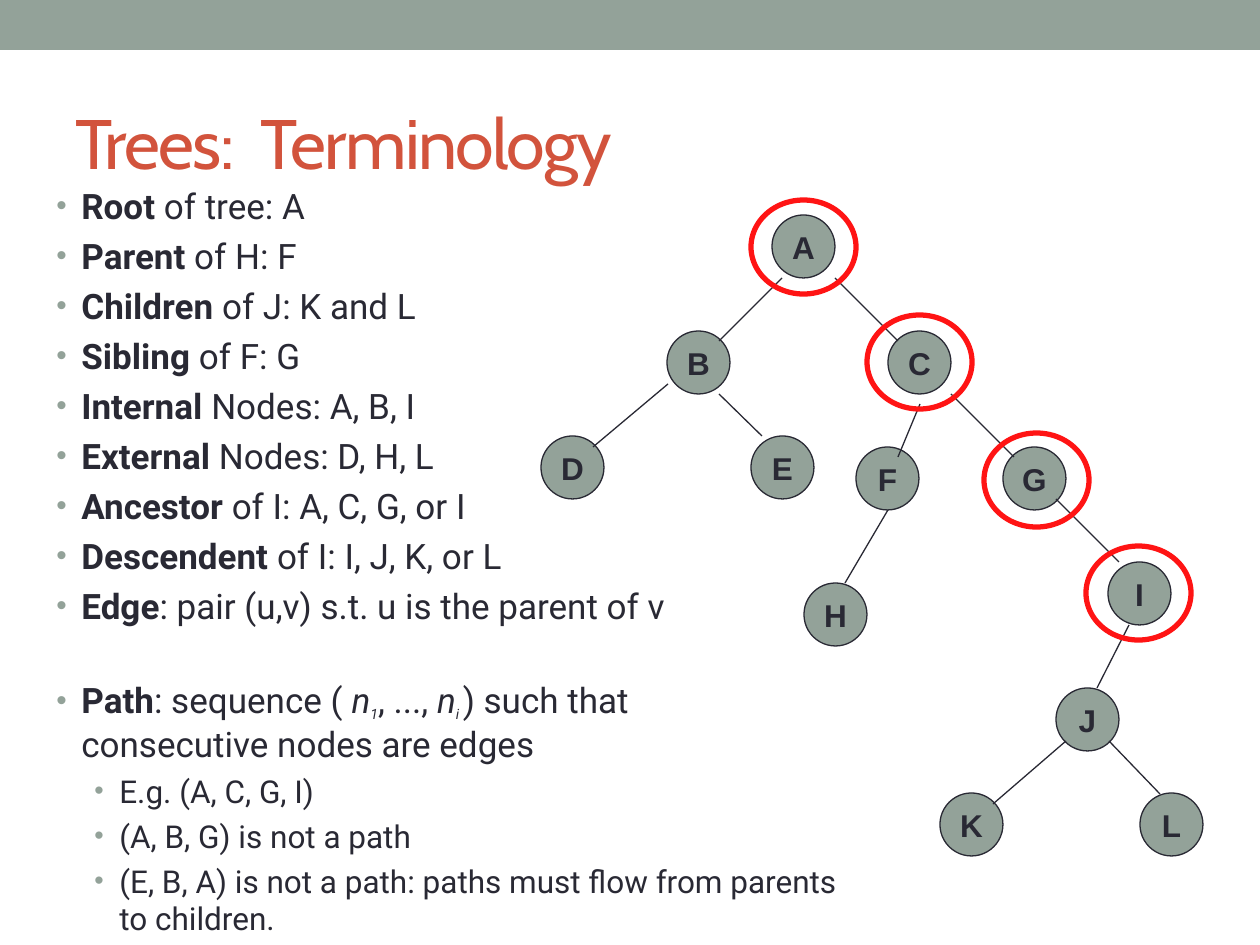
import pptx
import pptx.util
import pptx.dml.color
import pptx.enum.shapes
import pptx.enum.text
import pptx.oxml.ns
import lxml.etree
from dataclasses import dataclass


@dataclass(frozen=True)
class Theme:
    sage: str = "93A299"
    ink: str = "292934"
    heading: str = "D2533C"
    highlight: str = "FF1414"
    heading_font: str = "Cabin"
    body_font: str = "Roboto"
    node_font: str = "Arial"
    heading_size: int = 40
    term_size: int = 20
    detail_size: int = 18
    index_size: int = 14
    node_size: int = 18


THEME = Theme()
SCALE = 914400 / 126
NODE = 63
RING = (105, 94)
OVAL = pptx.enum.shapes.MSO_SHAPE.OVAL

TERMS = [
    ("Root", " of tree: A"),
    ("Parent", " of H: F"),
    ("Children", " of J: K and L"),
    ("Sibling", " of F: G"),
    ("Internal", " Nodes: A, B, I"),
    ("External", " Nodes: D, H, L"),
    ("Ancestor", " of I: A, C, G, or I"),
    ("Descendent", " of I: I, J, K, or L"),
    ("Edge", ": pair (u,v) s.t. u is the parent of v"),
]
PATH_TERM = [
    ("Path", "bold"), (": sequence ( ", ""), ("n", "italic"), ("1", "index"),
    (", ..., ", ""), ("n", "italic"), ("i ", "index"),
    (") such that\nconsecutive nodes are edges", ""),
]
PATH_DETAILS = [
    "E.g. (A, C, G, I)",
    "(A, B, G) is not a path",
    "(E, B, A) is not a path: paths must flow from parents\nto children.",
]
NODES = {
    "A": (231, 15), "B": (126, 131), "C": (347, 131), "D": (0, 236),
    "E": (210, 236), "F": (315, 247), "G": (462, 247), "H": (263, 383),
    "I": (567, 362), "J": (515, 488), "K": (399, 593), "L": (599, 593),
}
EDGES = [
    (241, 78, 178, 141), (294, 78, 357, 141), (127, 184, 52, 247),
    (178, 194, 221, 236), (379, 204, 357, 257), (410, 194, 473, 257),
    (347, 310, 304, 383), (515, 299, 578, 362), (588, 425, 556, 488),
    (525, 541, 452, 604), (568, 541, 619, 594),
]
PATH_RINGS = [(210, 0), (326, 115), (443, 233), (545, 346)]


def px(*lengths):
    return [pptx.util.Emu(round(length * SCALE)) for length in lengths]


def rgb(color):
    return pptx.dml.color.RGBColor.from_string(color)


def set_font(font, name, size, color):
    font.name = name
    font.size = pptx.util.Pt(size)
    font.color.rgb = rgb(color)


def add_figure(slide, kind, box, fill=None, line=None, weight=0.75):
    figure = slide.shapes.add_shape(kind, *px(*box))
    figure.shadow.inherit = False
    if fill:
        figure.fill.solid()
        figure.fill.fore_color.rgb = rgb(fill)
    else:
        figure.fill.background()
    if line:
        figure.line.color.rgb = rgb(line)
        figure.line.width = pptx.util.Pt(weight)
    else:
        figure.line.fill.background()
    return figure


def add_heading(slide, box):
    heading = slide.shapes.title
    heading.left, heading.top, heading.width, heading.height = px(*box)
    frame = heading.text_frame
    frame.text = "Trees:  Terminology"
    frame.auto_size = pptx.enum.text.MSO_AUTO_SIZE.NONE
    frame.vertical_anchor = pptx.enum.text.MSO_ANCHOR.MIDDLE
    line = frame.paragraphs[0]
    line.alignment = pptx.enum.text.PP_ALIGN.LEFT
    set_font(line.font, THEME.heading_font, THEME.heading_size, THEME.heading)
    line.runs[0]._r.get_or_add_rPr().set("spc", "-100")


def add_bullet(paragraph, indent):
    props = paragraph._p.get_or_add_pPr()
    left, hanging = px(indent, -25)
    props.set("marL", str(left))
    props.set("indent", str(hanging))
    tag = pptx.oxml.ns.qn
    color = lxml.etree.Element(tag("a:buClr"))
    lxml.etree.SubElement(color, tag("a:srgbClr"), val=THEME.sage)
    marks = [
        color,
        lxml.etree.Element(tag("a:buSzPct"), val="85000"),
        lxml.etree.Element(tag("a:buFont"), typeface="Arial"),
        lxml.etree.Element(tag("a:buChar"), char="\u2022"),
    ]
    default_run = props.find(tag("a:defRPr"))
    for mark in marks:
        default_run.addprevious(mark)


def add_styled_text(paragraph, text, style):
    for number, part in enumerate(text.split("\n")):
        if number:
            paragraph.add_line_break()
        run = paragraph.add_run()
        run.text = part
        if style == "bold":
            run.font.bold = True
        if style in ("italic", "index"):
            run.font.italic = True
        if style == "index":
            run.font.size = pptx.util.Pt(THEME.index_size)
            run._r.get_or_add_rPr().set("baseline", "-25000")


def add_definitions(slide, box):
    frame = slide.shapes.add_textbox(*px(*box)).text_frame
    frame.word_wrap = True
    entries = [([(term, "bold"), (meaning, "")], THEME.term_size, 25, 4.6)
               for term, meaning in TERMS]
    entries.append((PATH_TERM, THEME.term_size, 25, 29.7))
    entries += [([(detail, "")], THEME.detail_size, 63, 4.1)
                for detail in PATH_DETAILS]
    for number, (parts, size, indent, gap) in enumerate(entries):
        paragraph = frame.add_paragraph() if number else frame.paragraphs[0]
        paragraph.level = int(size == THEME.detail_size)
        paragraph.space_before = pptx.util.Pt(gap if number else 0)
        set_font(paragraph.font, THEME.body_font, size, THEME.ink)
        add_bullet(paragraph, indent)
        for text, style in parts:
            add_styled_text(paragraph, text, style)


def add_node(slide, letter, left, top):
    node = add_figure(slide, OVAL, (left, top, NODE, NODE), THEME.sage, THEME.ink)
    frame = node.text_frame
    frame.word_wrap = False
    frame.vertical_anchor = pptx.enum.text.MSO_ANCHOR.MIDDLE
    frame.text = letter
    label = frame.paragraphs[0]
    label.alignment = pptx.enum.text.PP_ALIGN.CENTER
    set_font(label.font, THEME.node_font, THEME.node_size, THEME.ink)
    label.font.bold = True


def add_tree(slide, left, top):
    for letter, (x, y) in NODES.items():
        add_node(slide, letter, left + x, top + y)
    for x1, y1, x2, y2 in EDGES:
        edge = slide.shapes.add_connector(
            pptx.enum.shapes.MSO_CONNECTOR.STRAIGHT,
            *px(left + x1, top + y1, left + x2, top + y2))
        edge.line.color.rgb = rgb(THEME.ink)
        edge.line.width = pptx.util.Pt(0.75)
        lxml.etree.SubElement(edge._element.spPr, pptx.oxml.ns.qn("a:effectLst"))
    for x, y in PATH_RINGS:
        add_figure(slide, OVAL, (left + x, top + y, *RING),
                   line=THEME.highlight, weight=3)


def build():
    deck = pptx.Presentation()
    deck.slide_width, deck.slide_height = px(1260, 945)
    slide = deck.slides.add_slide(deck.slide_layouts.get_by_name("Title Only"))
    add_figure(slide, pptx.enum.shapes.MSO_SHAPE.RECTANGLE,
               (0, 0, 1260, 50), THEME.sage)
    add_heading(slide, (63, 73, 1134, 136))
    add_definitions(slide, (44, 178, 1048, 725))
    add_tree(slide, 541, 200)
    deck.save("out.pptx")


build()
